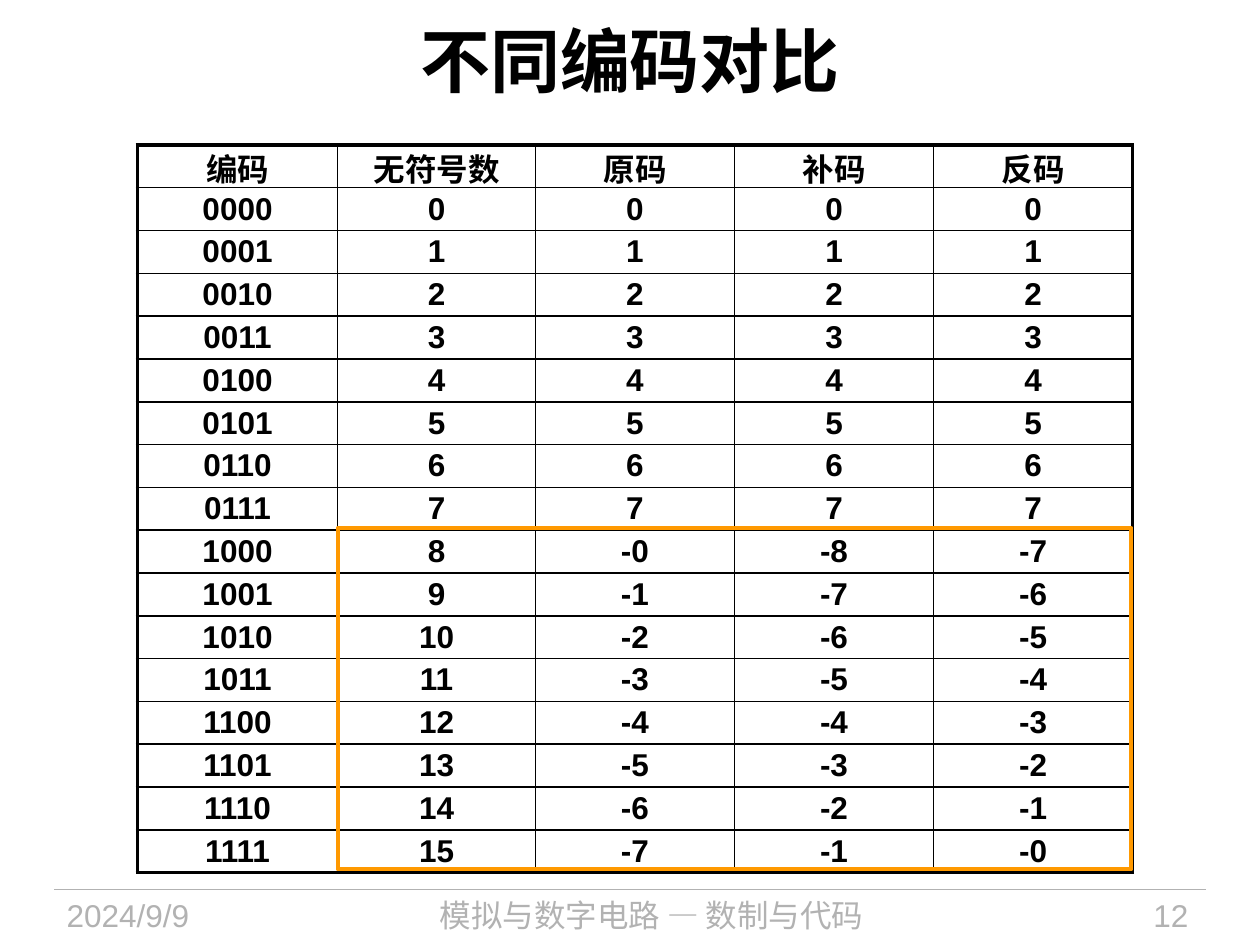
from dataclasses import dataclass

from lxml import etree
from pptx import Presentation
from pptx.dml.color import RGBColor
from pptx.enum.shapes import MSO_CONNECTOR, MSO_SHAPE
from pptx.enum.text import MSO_ANCHOR, MSO_AUTO_SIZE, PP_ALIGN
from pptx.oxml.ns import qn
from pptx.slide import Slide
from pptx.table import _Cell
from pptx.text.text import TextFrame
from pptx.util import Inches, Pt

LEFT, CENTER, RIGHT = PP_ALIGN.LEFT, PP_ALIGN.CENTER, PP_ALIGN.RIGHT
TOP, MIDDLE = MSO_ANCHOR.TOP, MSO_ANCHOR.MIDDLE
NO_AUTOFIT = MSO_AUTO_SIZE.NONE
STRAIGHT = MSO_CONNECTOR.STRAIGHT
RECTANGLE = MSO_SHAPE.RECTANGLE
TITLE_ONLY = 5


@dataclass(frozen=True)
class Theme:
    font: str = "Arial"
    ink: str = "000000"
    muted: str = "B2B2B2"
    accent: str = "FF9900"
    title_size: float = 40
    text_size: float = 18
    hairline: float = 0.75
    inner_line: float = 1
    outer_line: float = 2.25


@dataclass(frozen=True)
class Box:
    left: float
    top: float
    width: float
    height: float

    def emu(self) -> tuple:
        return tuple(Inches(v) for v in (self.left, self.top, self.width, self.height))


@dataclass(frozen=True)
class FooterItem:
    text: str
    box: Box
    align: PP_ALIGN


THEME = Theme()
TITLE_BOX = Box(0.5, 0.17, 9, 0.61)
TABLE_BOX = Box(1.09, 1.15, 7.9, 5.78)
NEGATIVE_BOX = Box(2.68, 4.19, 6.3, 2.71)
COLUMN_WIDTHS = [1.59, 1.57, 1.58, 1.58, 1.58]
ROW_HEIGHT = 0.34
HEADERS = ["编码", "无符号数", "原码", "补码", "反码"]
FOOTER_TOP = 7.06
FOOTER = [
    FooterItem("2024/9/9", Box(0.43, FOOTER_TOP, 1.88, 0.44), LEFT),
    FooterItem("模拟与数字电路 — 数制与代码", Box(2.49, FOOTER_TOP, 5.36, 0.44), CENTER),
    FooterItem("12", Box(8.2, FOOTER_TOP, 1.33, 0.44), RIGHT),
]


def code_row(n: int) -> list[str]:
    if n < 8:
        return [f"{n:04b}"] + [str(n)] * 4
    return [f"{n:04b}", str(n), f"-{n - 8}", f"-{16 - n}", f"-{15 - n}"]


def set_text(tf: TextFrame, text: str, size: float, color: str,
             align: PP_ALIGN, bold: bool = False) -> None:
    tf.text = text
    tf.word_wrap = True
    p = tf.paragraphs[0]
    p.alignment = align
    font = p.runs[0].font
    font.name = THEME.font
    font.size = Pt(size)
    font.bold = bold
    font.color.rgb = RGBColor.from_string(color)


def set_borders(cell: _Cell, widths: dict[str, float]) -> None:
    tc_pr = cell._tc.get_or_add_tcPr()
    for i, (side, width) in enumerate(widths.items()):
        ln = etree.Element(qn(f"a:ln{side}"), w=str(Pt(width)))
        fill = etree.SubElement(ln, qn("a:solidFill"))
        etree.SubElement(fill, qn("a:srgbClr"), val=THEME.ink)
        tc_pr.insert(i, ln)


def add_title(slide: Slide, text: str) -> None:
    sp = slide.shapes.title
    sp.left, sp.top, sp.width, sp.height = TITLE_BOX.emu()
    tf = sp.text_frame
    tf.auto_size = NO_AUTOFIT
    tf.vertical_anchor = MIDDLE
    set_text(tf, text, THEME.title_size, THEME.ink, CENTER, bold=True)


def add_code_table(slide: Slide, rows: list[list[str]]) -> None:
    last_row, last_col = len(rows) - 1, len(COLUMN_WIDTHS) - 1
    table = slide.shapes.add_table(len(rows), len(COLUMN_WIDTHS), *TABLE_BOX.emu()).table
    table.first_row = False
    table.horz_banding = False
    for column, width in zip(table.columns, COLUMN_WIDTHS):
        column.width = Inches(width)
    for r, values in enumerate(rows):
        table.rows[r].height = Inches(ROW_HEIGHT)
        for c, value in enumerate(values):
            cell = table.cell(r, c)
            cell.margin_left = cell.margin_right = 0
            cell.margin_top = cell.margin_bottom = 0
            cell.vertical_anchor = MIDDLE
            cell.fill.background()
            set_text(cell.text_frame, value, THEME.text_size, THEME.ink, CENTER, bold=True)
            on_edge = {"L": c == 0, "R": c == last_col, "T": r == 0, "B": r == last_row}
            set_borders(cell, {side: THEME.outer_line if edge else THEME.inner_line
                               for side, edge in on_edge.items()})


def add_outline(slide: Slide, box: Box) -> None:
    sp = slide.shapes.add_shape(RECTANGLE, *box.emu())
    sp.shadow.inherit = False
    sp.fill.background()
    sp.line.color.rgb = RGBColor.from_string(THEME.accent)
    sp.line.width = Pt(THEME.outer_line)


def add_footer(slide: Slide, items: list[FooterItem]) -> None:
    rule = slide.shapes.add_connector(STRAIGHT, Inches(0.43), Inches(FOOTER_TOP),
                                      Inches(9.57), Inches(FOOTER_TOP))
    rule.line.color.rgb = RGBColor.from_string(THEME.muted)
    rule.line.width = Pt(THEME.hairline)
    etree.SubElement(rule._element.spPr, qn("a:effectLst"))
    for item in items:
        tf = slide.shapes.add_textbox(*item.box.emu()).text_frame
        tf.vertical_anchor = TOP
        set_text(tf, item.text, THEME.text_size, THEME.muted, item.align)


def main() -> None:
    prs = Presentation()
    prs.slide_width, prs.slide_height = Inches(10), Inches(7.5)
    slide = prs.slides.add_slide(prs.slide_layouts[TITLE_ONLY])
    add_footer(slide, FOOTER)
    add_title(slide, "不同编码对比")
    add_code_table(slide, [HEADERS] + [code_row(n) for n in range(16)])
    add_outline(slide, NEGATIVE_BOX)
    prs.save("out.pptx")


if __name__ == "__main__":
    main()
